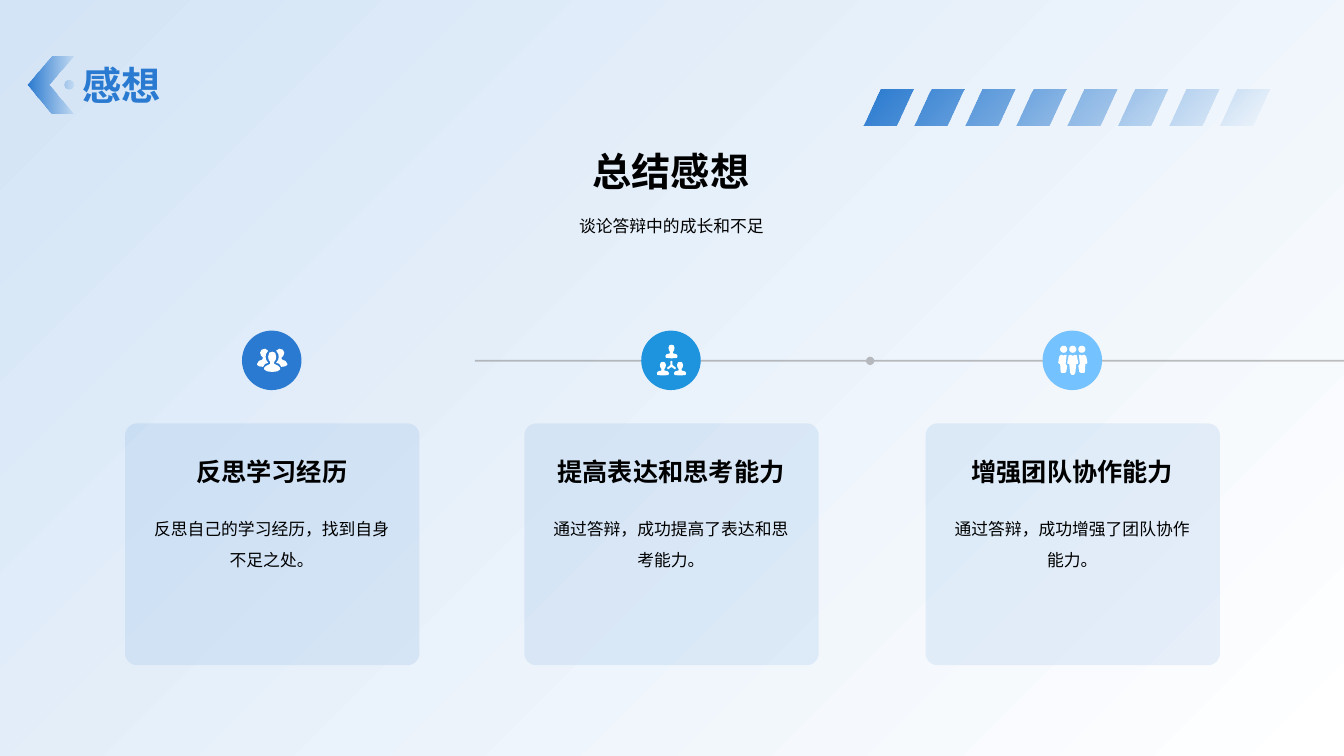
"""Build the closing-thoughts slide with three cards along a timeline."""
import math
from dataclasses import dataclass

from lxml import etree
from pptx import Presentation
from pptx.dml.color import RGBColor
from pptx.enum import shapes, text
from pptx.oxml import ns
from pptx.util import Inches, Pt


@dataclass(frozen=True)
class Theme:
    font: str = "Arial"
    ink: RGBColor = RGBColor(0x00, 0x00, 0x00)
    white: RGBColor = RGBColor(0xFF, 0xFF, 0xFF)
    pale: RGBColor = RGBColor(0xD3, 0xE4, 0xF6)
    blue: RGBColor = RGBColor(0x29, 0x7A, 0xD0)
    azure: RGBColor = RGBColor(0x1F, 0x94, 0xDE)
    sky: RGBColor = RGBColor(0x74, 0xC2, 0xFF)
    gray: RGBColor = RGBColor(0x80, 0x80, 0x80)
    title: Pt = Pt(28)
    heading: Pt = Pt(18)
    body: Pt = Pt(12)


theme = Theme()
presentation = Presentation()
presentation.slide_width, presentation.slide_height = Inches(13.33), Inches(7.5)
slide = presentation.slides.add_slide(presentation.slide_layouts[6])


def add_outline(contours):
    """Draw closed contours, given in inches, as one borderless freeform."""
    paths = [[(Inches(x), Inches(y)) for x, y in contour] for contour in contours]
    builder = slide.shapes.build_freeform(*paths[0][0])
    builder.add_line_segments(paths[0][1:])
    for path in paths[1:]:
        builder.move_to(*path[0])
        builder.add_line_segments(path[1:])
    shape = builder.convert_to_shape()
    shape.shadow.inherit = False
    shape.line.fill.background()
    return shape


def add_text(words, box, size, color=theme.ink, bold=False, spacing=1.0, inset=0.12,
             align=text.PP_ALIGN.CENTER, anchor=text.MSO_ANCHOR.BOTTOM):
    """Add a one-paragraph text box."""
    frame = slide.shapes.add_textbox(*map(Inches, box)).text_frame
    frame.word_wrap = True
    frame.vertical_anchor = anchor
    frame.margin_left = frame.margin_right = Inches(max(inset, 0.1))
    frame.margin_top = frame.margin_bottom = Inches(inset)
    paragraph = frame.paragraphs[0]
    paragraph.text = words
    paragraph.alignment = align
    paragraph.line_spacing = spacing
    font = paragraph.font
    font.name, font.size, font.bold, font.color.rgb = theme.font, size, bold, color


background = slide.background.fill
background.gradient()
background.gradient_angle = 315
for stop, color in zip(background.gradient_stops, (theme.pale, theme.white)):
    stop.color.rgb = color

stripes = []
for index in range(8):
    x = 8.56 + index * 3.53 / 7
    stripes.append([(x + 0.17, 0.89), (x + 0.5, 0.89), (x + 0.33, 1.24), (x, 1.24)])

circle = [(math.cos(math.radians(a)), math.sin(math.radians(a))) for a in range(0, 360, 15)]
chevron = [
    [(0.51, 0.56), (0.73, 0.56), (0.49, 0.84), (0.73, 1.13), (0.51, 1.13), (0.27, 0.84)],
    [(0.68 + 0.05 * x, 0.84 + 0.05 * y) for x, y in circle],
]

for contours, angle, end_alpha in ((stripes, 315, 0), (chevron, 0, 10000)):
    shape = add_outline(contours)
    shape.fill.gradient()
    shape.fill.gradient_angle = angle
    for stop, position in zip(shape.fill.gradient_stops, (0, 1)):
        stop.position = position
        stop.color.rgb = theme.blue
    end_color = shape._element.spPr.findall(".//" + ns.qn("a:srgbClr"))[-1]
    etree.SubElement(end_color, ns.qn("a:alpha"), val=str(end_alpha))

add_text("感想", (0.72, 0, 11.88, 1.12), theme.title, theme.blue, True, inset=0.05,
         align=text.PP_ALIGN.LEFT)
add_text("总结感想", (0.72, 1.34, 11.87, 0.71), theme.title, bold=True)
add_text("谈论答辩中的成长和不足", (0.72, 1.98, 11.88, 0.46), theme.body, spacing=1.2,
         anchor=text.MSO_ANCHOR.TOP)

for start, end, has_dot in ((4.71, 8.63, True), (8.67, 13.33, False)):
    connector = slide.shapes.add_connector(
        shapes.MSO_CONNECTOR.STRAIGHT, Inches(start), Inches(3.58), Inches(end), Inches(3.58))
    connector.line.color.rgb = theme.gray
    connector.line.width = Pt(1.25)
    properties = connector._element.spPr
    etree.SubElement(properties.find(".//" + ns.qn("a:srgbClr")), ns.qn("a:alpha"), val="50000")
    if has_dot:
        etree.SubElement(properties.find(ns.qn("a:ln")), ns.qn("a:tailEnd"), type="oval")
    etree.SubElement(properties, ns.qn("a:effectLst"))

# Icon points are hundredths of an inch from the top centre of each badge.
leader = [(0, 21), (3, 22), (4, 26), (3.5, 29), (2, 31), (2, 33), (6, 35), (8, 37), (8, 38.5),
          (5, 40.5), (0, 41)]
neighbour = [(10, 29), (9, 27), (11, 25), (12, 22), (10.5, 19), (7, 18), (4, 20), (6, 23),
             (6.5, 26), (6, 29), (4, 32), (7, 33), (9, 36), (13, 35.5), (15, 34), (15, 33),
             (13, 30)]
member = [(0, 0), (2, 0.5), (3, 3), (2.5, 5.5), (1.5, 7), (1.5, 8.5), (5, 9.5), (6, 11),
          (5.5, 13), (0, 13.5)]
branch = [(0, 30), (1, 30.5), (1, 34), (4.5, 37), (3.5, 38.5), (0, 36)]
middle_body = [(0, 25), (2, 24), (4, 24.5), (5.5, 32), (5, 33), (3.5, 33), (2.5, 42),
               (1, 44), (0, 44)]
side_body = [(6, 24), (8, 24), (9, 25), (10, 24), (12, 24), (13.5, 26), (14.5, 32), (13.5, 33),
             (12.5, 33), (12, 41), (11, 42), (8, 42), (6.5, 41), (5.5, 35), (7, 33), (7, 32)]
leader, member, branch, middle_body = [
    half + [(-x, y) for x, y in reversed(half)]
    for half in (leader, member, branch, middle_body)]
neighbours, side_bodies = [
    [wing, [(-x, y) for x, y in wing]] for wing in (neighbour, side_body)]

group_icon = [leader] + neighbours
network_icon = [branch] + [
    [(left + x, top + y) for x, y in member] for left, top in ((0, 14), (-8.5, 31), (8.5, 31))]
team_icon = [middle_body] + side_bodies + [
    [(left + 3.5 * x, 18.5 + 3.5 * y) for x, y in circle] for left in (-9, 0, 9)]

cards = (
    (1.24, theme.blue, group_icon, "反思学习经历", "反思自己的学习经历，找到自身不足之处。"),
    (5.2, theme.azure, network_icon, "提高表达和思考能力", "通过答辩，成功提高了表达和思考能力。"),
    (9.18, theme.sky, team_icon, "增强团队协作能力", "通过答辩，成功增强了团队协作能力。"),
)
for left, color, icon, heading, body in cards:
    panel = (left, 4.2, 2.92, 2.4, 0.05, theme.blue)
    badge = (left + 1.16, 3.28, 0.59, 0.59, 0.5, color)
    for x, y, width, height, rounding, fill_color in (panel, badge):
        shape = slide.shapes.add_shape(
            shapes.MSO_SHAPE.ROUNDED_RECTANGLE, *map(Inches, (x, y, width, height)))
        shape.adjustments[0] = rounding
        shape.shadow.inherit = False
        shape.line.fill.background()
        shape.fill.solid()
        shape.fill.fore_color.rgb = fill_color
        if height == 2.4:
            panel_color = shape._element.spPr.find(".//" + ns.qn("a:srgbClr"))
            etree.SubElement(panel_color, ns.qn("a:alpha"), val="10000")
    glyph = add_outline([[(left + 1.46 + x / 100, 3.28 + y / 100) for x, y in contour]
                         for contour in icon])
    glyph.fill.solid()
    glyph.fill.fore_color.rgb = theme.white
    add_text(heading, (left + 0.2, 4.43, 2.51, 0.5), theme.heading, bold=True, inset=0.1)
    add_text(body, (left + 0.14, 4.93, 2.63, 0.81), theme.body, spacing=1.5,
             anchor=text.MSO_ANCHOR.TOP)

presentation.save("out.pptx")
